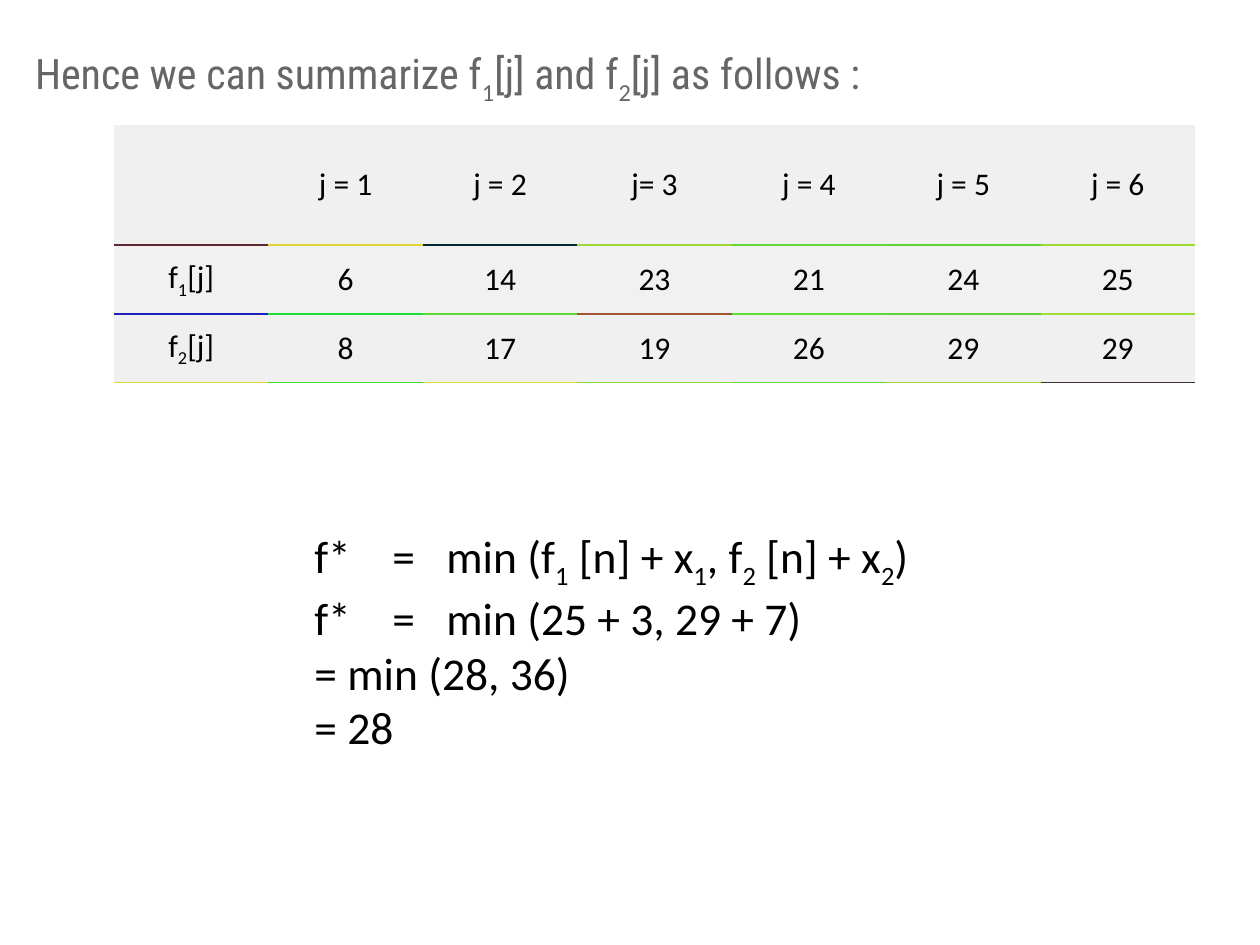
"""Build the slide that summarizes f1[j] and f2[j] and works out f*."""
from dataclasses import dataclass

from lxml.etree import SubElement
from pptx import Presentation
from pptx.dml.color import RGBColor
from pptx.enum.text import MSO_ANCHOR as Anchor, MSO_AUTO_SIZE as AutoSize, PP_ALIGN as Align
from pptx.oxml.ns import qn
from pptx.util import Emu, Pt

PX_PER_INCH = 126


@dataclass(frozen=True)
class Style:
    """Font of a text and the depth of its subscripts in percent."""
    name: str
    size: int
    color: str
    drop: int = 25
    sub_name: str = "Calibri"


@dataclass(frozen=True)
class TextBox:
    """Place, wording and layout of a text box."""
    bounds: tuple[int, int, int, int]
    lines: tuple[str, ...]
    style: Style
    frame: dict
    fill: str | None = None
    tabs: tuple[int, ...] = ()


@dataclass(frozen=True)
class TableRow:
    """Height, fill, wording and bottom rule colours of a table row."""
    height: int
    fill: str
    texts: tuple[str, ...]
    rules: tuple[str, ...]


TITLE = Style("Roboto Condensed", 24, "666666", drop=30)
CELL = Style("Calibri", 18, "000000")
FORMULA = Style("Calibri", 26, "000000")

BOXES = (
    TextBox((35, 52, 936, 50), ("Hence we can summarize f~1~[j] and f~2~[j] as follows :",), TITLE,
            {"word_wrap": False, "vertical_anchor": Anchor.MIDDLE, "margin_left": 0,
             "margin_right": 0, "margin_top": 0, "margin_bottom": 0}, fill="FFFFFF"),
    TextBox((302, 522, 630, 233),
            ("f*\t=\tmin (f~1~ [n] + x~1~, f~2~ [n] + x~2~)", "f*\t=\tmin (25 + 3, 29 + 7)",
             "= min (28, 36)", "= 28"), FORMULA, {"word_wrap": True}, tabs=(78, 132)),
)

TABLE_BOUNDS = (114, 125, 1081, 258)
TABLE_ROWS = (
    TableRow(120, "F0F0F0", ("", "j = 1", "j = 2", "j= 3", "j = 4", "j = 5", "j = 6"),
             ("602732", "E0D736", "002932", "A0D736", "60DA36", "60D136", "A0D936")),
    TableRow(69, "F1F1F1", ("f~1~[j]", "6", "14", "23", "21", "24", "25"),
             ("2020BD", "20DC36", "60DB36", "A05731", "60DE36", "60D136", "A0DD36")),
    TableRow(69, "F0F0F0", ("f~2~[j]", "8", "17", "19", "26", "29", "29"),
             ("E0D736", "40DD36", "E0D936", "80DE36", "60D836", "A0D936", "402D32")),
)


def px(length: int) -> Emu:
    """Turn px into EMU."""
    return Emu(round(length * 914400 / PX_PER_INCH))


def rgb(color: str) -> RGBColor:
    """Turn a hex string into a colour."""
    return RGBColor.from_string(color)


def set_all(target, values: dict) -> None:
    """Set each attribute in values on the target."""
    for name, value in values.items():
        setattr(target, name, value)


def paint(fill, color: str) -> None:
    """Give a fill one solid colour."""
    fill.solid()
    fill.fore_color.rgb = rgb(color)


def write(para, text: str, style: Style) -> None:
    """Write text in which tildes enclose the subscripts."""
    for index, part in enumerate(text.split("~")):
        if not part:
            continue
        is_sub = index % 2 == 1
        span = para.add_run()
        span.text = part
        set_all(span.font, {"name": style.sub_name if is_sub else style.name,
                            "size": Pt(style.size)})
        span.font.color.rgb = rgb(style.color)
        if is_sub:
            span.font._element.set("baseline", str(-1000 * style.drop))


def add_tabs(para, stops: tuple[int, ...]) -> None:
    """Add left tab stops to a paragraph."""
    tab_list = SubElement(para._p.get_or_add_pPr(), qn("a:tabLst"))
    for stop in stops:
        SubElement(tab_list, qn("a:tab"), pos=str(px(stop)), algn="l")


def add_text_box(slide, item: TextBox) -> None:
    """Draw a text box."""
    box = slide.shapes.add_textbox(*map(px, item.bounds))
    if item.fill:
        paint(box.fill, item.fill)
    frame = box.text_frame
    set_all(frame, {"auto_size": AutoSize.SHAPE_TO_FIT_TEXT, **item.frame})
    for index, line in enumerate(item.lines):
        para = frame.add_paragraph() if index else frame.paragraphs[0]
        if "\t" in line:
            add_tabs(para, item.tabs)
        write(para, line, item.style)


def add_borders(cell, top: str | None, bottom: str) -> None:
    """Rule a cell above and below and leave its sides open."""
    properties = cell._tc.get_or_add_tcPr()
    for side, color in {"L": None, "R": None, "T": top, "B": bottom}.items():
        line = SubElement(properties, qn(f"a:ln{side}"), w=str(Pt(0.75)))
        if color:
            SubElement(SubElement(line, qn("a:solidFill")), qn("a:srgbClr"), val=color)
        else:
            SubElement(line, qn("a:noFill"))


def add_summary_table(slide, rows: tuple[TableRow, ...]) -> None:
    """Draw the table of f1[j] and f2[j]."""
    count = len(rows[0].texts)
    table = slide.shapes.add_table(len(rows), count, *map(px, TABLE_BOUNDS)).table
    set_all(table, {"first_row": False, "horz_banding": False})
    for column in table.columns:
        column.width = px(TABLE_BOUNDS[2]) // count
    tops = (None,) * count
    margins = dict.fromkeys(("margin_left", "margin_right", "margin_top", "margin_bottom"), px(6))
    for row_index, row in enumerate(rows):
        table.rows[row_index].height = px(row.height)
        for column_index, text in enumerate(row.texts):
            cell = table.cell(row_index, column_index)
            add_borders(cell, tops[column_index], row.rules[column_index])
            paint(cell.fill, row.fill)
            set_all(cell, {"vertical_anchor": Anchor.MIDDLE, **margins})
            para = cell.text_frame.paragraphs[0]
            para.alignment = Align.CENTER
            write(para, text, CELL)
        tops = row.rules


def main() -> None:
    """Build and save the deck."""
    deck = Presentation()
    set_all(deck, {"slide_width": px(1260), "slide_height": px(945)})
    slide = deck.slides.add_slide(deck.slide_layouts[6])
    add_summary_table(slide, TABLE_ROWS)
    for item in BOXES:
        add_text_box(slide, item)
    deck.save("out.pptx")


if __name__ == "__main__":
    main()
